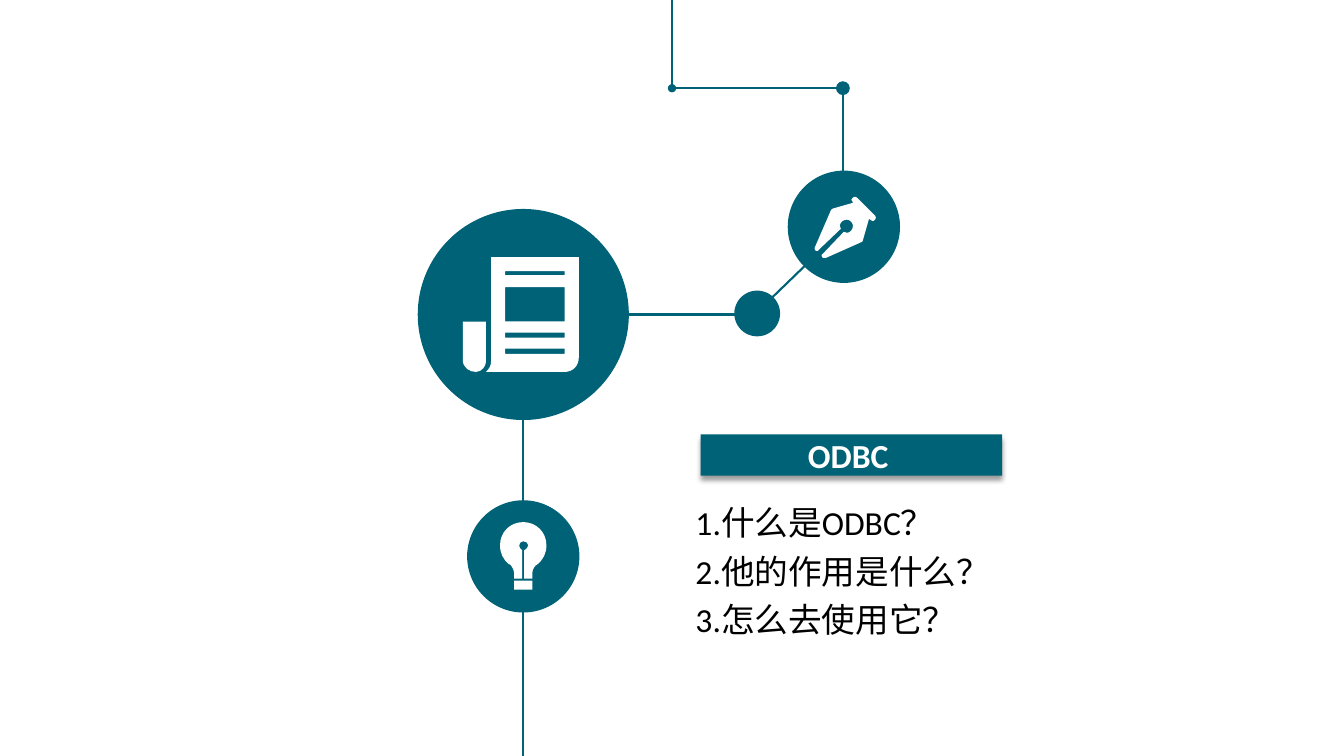
import pptx
import pptx.dml.color
import pptx.enum.shapes
import pptx.enum.text
import pptx.oxml
import pptx.util
from pptx.oxml.ns import nsdecls, qn

# Grid: one cell is a hundredth of an inch
COLS, ROWS = 1333, 750
CELL = pptx.util.Inches(0.01)
TEAL, WHITE, BLACK = "006277", "FFFFFF", "000000"
KIND = pptx.enum.shapes.MSO_SHAPE

# Icon outlines: pairs are corners, sextets are curves
ROLL = [[(482, 319), (459, 319), (459, 357), (459, 365, 466, 369, 472, 369),
         (478, 369, 482, 363, 482, 359)]]
PAGE = [(487, 255), (487, 359), (487, 363, 485, 366, 482, 369), (560, 369),
        (568, 369, 574, 363, 574, 355), (574, 255)]
SLOTS = [(269, 273), (285, 319), (330, 335), (346, 351)]
NIB = [[(837, 230), (816, 252), (815, 252, 815, 253, 815, 254),
        (815, 255, 816, 256, 817, 256), (819, 256), (855, 240),
        (855, 240, 856, 239, 856, 238), (862, 217), (863, 218),
        (865, 220, 867, 220, 868, 218), (869, 217, 869, 215, 868, 214),
        (850, 196), (849, 195, 847, 195, 846, 196),
        (844, 197, 844, 199, 846, 201), (847, 201), (826, 207),
        (825, 208, 824, 208, 824, 209), (808, 246), (808, 247),
        (808, 248, 809, 249, 810, 249), (811, 249, 812, 249, 812, 248),
        (834, 227), (834, 226, 833, 225, 833, 224),
        (833, 221, 836, 218, 840, 218), (843, 218, 846, 221, 846, 224),
        (846, 228, 843, 231, 840, 231), (839, 231, 838, 230, 837, 230)]]
BULB = [[(505, 560), (506, 560), (507, 561, 510, 565, 510, 569), (510, 574),
         (518, 574), (518, 546), (516, 545, 515, 543, 515, 541),
         (515, 539, 517, 537, 519, 537), (522, 537, 524, 539, 524, 541),
         (524, 543, 522, 545, 520, 546), (520, 574), (528, 574), (528, 569),
         (528, 564, 531, 561, 533, 560), (539, 555, 542, 549, 542, 541),
         (542, 528, 532, 518, 519, 518), (506, 518, 496, 528, 496, 541),
         (496, 549, 499, 555, 505, 560)]]


def cells(*nums):
    return [round(n * CELL) for n in nums]


def color(code):
    return pptx.dml.color.RGBColor.from_string(code)


def paint(shape, fill, edge=None):
    shape.shadow.inherit = False
    shape.fill.solid()
    shape.fill.fore_color.rgb = color(fill)
    if edge:
        shape.line.color.rgb = color(edge)
        shape.line.width = pptx.util.Pt(1)
    else:
        shape.line.fill.background()
    return shape


def block(home, box, fill):
    return paint(home.add_shape(KIND.RECTANGLE, *cells(*box)), fill)


def disc(home, x, y, size):
    """Circle given by its centre and diameter."""
    box = cells(x - size / 2, y - size / 2, size, size)
    paint(home.add_shape(KIND.OVAL, *box), TEAL, TEAL)


def wire(home, start, end, head=None, tail=None):
    """Straight line; head and tail are sizes of round ends."""
    line = home.add_connector(pptx.enum.shapes.MSO_CONNECTOR.STRAIGHT,
                              *cells(*start, *end))
    line.line.color.rgb = color(TEAL)
    line.line.width = pptx.util.Pt(1.5)
    for tag, size in (("headEnd", head), ("tailEnd", tail)):
        if size:
            line.line._get_or_add_ln().append(pptx.oxml.parse_xml(
                f'<a:{tag} {nsdecls("a")} type="oval" w="{size}" len="{size}"/>'))
    line._element.spPr.append(
        pptx.oxml.parse_xml(f'<a:effectLst {nsdecls("a")}/>'))


def bend(shape, nodes):
    """Turn the straight steps of an outline into curves where asked."""
    steps = list(shape._element.iter(qn("a:lnTo")))
    for step, node in zip(steps, nodes):
        if len(node) == 6:
            nums = cells(*node)
            dots = "".join(f'<a:pt x="{x - shape.left}" y="{y - shape.top}"/>'
                           for x, y in zip(nums[::2], nums[1::2]))
            step.getparent().replace(step, pptx.oxml.parse_xml(
                f'<a:cubicBezTo {nsdecls("a")}>{dots}</a:cubicBezTo>'))


def icon(home, loops):
    pen = home.build_freeform(*cells(*loops[0][0]), scale=1.0)
    for i, loop in enumerate(loops):
        if i:
            pen.move_to(*cells(*loop[0]))
        pen.add_line_segments([cells(*node[-2:]) for node in loop[1:]], close=True)
    shape = paint(pen.convert_to_shape(), WHITE)
    bend(shape, [node for loop in loops for node in loop[1:]])


def write(home, text, box, ink=BLACK, bold=False, align="LEFT", after=0):
    frame = home.add_textbox(*cells(*box)).text_frame
    frame.word_wrap = True
    frame.auto_size = pptx.enum.text.MSO_AUTO_SIZE.SHAPE_TO_FIT_TEXT
    frame.text = text
    for para in frame.paragraphs:
        para.alignment = pptx.enum.text.PP_ALIGN[align]
        para.space_after = pptx.util.Pt(after)
        font = para.runs[0].font
        font.name, font.size, font.bold = "Calibri", pptx.util.Pt(24), bold
        font.color.rgb = color(ink)


def shade(shape):
    """Soft shadow straight below."""
    shape._element.spPr.find(qn("a:effectLst")).append(pptx.oxml.parse_xml(
        f'<a:outerShdw {nsdecls("a")} blurRad="50800" dist="38100" '
        'dir="5400000" algn="t" rotWithShape="0"><a:srgbClr val="000000">'
        '<a:alpha val="40000"/></a:srgbClr></a:outerShdw>'))


def main():
    deck = pptx.Presentation()
    deck.slide_width, deck.slide_height = cells(COLS, ROWS)
    home = deck.slides.add_slide(deck.slide_layouts[6]).shapes

    # Heading and questions
    shade(block(home, (695, 431, 299, 41), TEAL))
    write(home, "ODBC ", (709, 427, 272, 51), ink=WHITE, bold=True, align="CENTER")
    write(home, "1.什么是ODBC？\n2.他的作用是什么？\n3.怎么去使用它？",
          (680, 493, 464, 148), after=6)

    # Pen, dot and newspaper
    disc(home, 837, 225, 110)
    wire(home, (798, 264), (766, 295))
    disc(home, 751, 311, 44)
    wire(home, (623, 312), (737, 312))
    disc(home, 519, 312, 208)
    news = home.add_group_shape().shapes
    icon(news, ROLL)
    icon(news, [PAGE] + [[(560, low), (501, low), (501, top), (560, top)]
                         for top, low in SLOTS])
    icon(home, NIB)

    # Bulb on the lower line
    wire(home, (519, 416), (519, ROWS))
    disc(home, 519, 552, 110)
    lamp = home.add_group_shape().shapes
    icon(lamp, BULB)
    block(lamp, (510, 576, 18, 9), WHITE)

    # Line from the top edge to the pen
    mid, turn = COLS / 2, 87.5
    wire(home, (mid, -12), (mid, turn))
    wire(home, (836, turn), (mid, turn), head="lg", tail="med")
    wire(home, (836, turn), (836, 188))

    deck.save("out.pptx")


if __name__ == "__main__":
    main()
